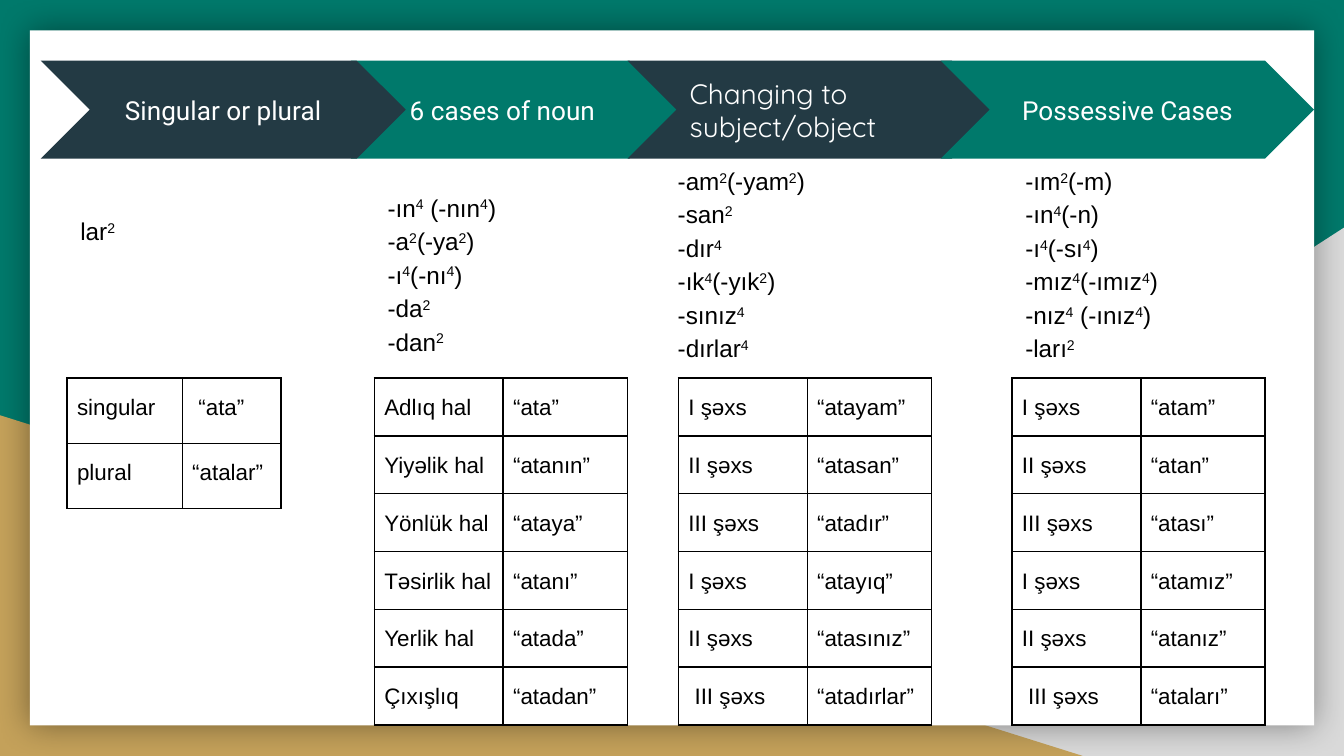
from itertools import groupby
from lxml import etree
from pptx import Presentation
from pptx.dml.color import RGBColor
from pptx.enum.shapes import MSO_SHAPE
from pptx.enum.text import MSO_ANCHOR, PP_ALIGN
from pptx.oxml.ns import qn
from pptx.util import Pt

TRIANGLE, RECTANGLE = MSO_SHAPE.RIGHT_TRIANGLE, MSO_SHAPE.RECTANGLE
PENTAGON, CHEVRON = MSO_SHAPE.PENTAGON, MSO_SHAPE.CHEVRON
LEFT, CENTER = PP_ALIGN.LEFT, PP_ALIGN.CENTER
TOP, MIDDLE = MSO_ANCHOR.TOP, MSO_ANCHOR.MIDDLE
COLORS = {"teal": "00796B", "navy": "233A44", "gold": "C4A15A",
          "gray": "D9D9D9", "white": "FFFFFF", "black": "000000"}

presentation = Presentation()
presentation.slide_width, presentation.slide_height = Pt(720), Pt(405)
slide = presentation.slides.add_slide(presentation.slide_layouts[6])
slide.background.fill.solid()
slide.background.fill.fore_color.rgb = RGBColor.from_string(COLORS["teal"])


def add_filled_shape(kind, color, left, top, width, height):
    shape = slide.shapes.add_shape(kind, Pt(left), Pt(top), Pt(width), Pt(height))
    shape.shadow.inherit = False
    shape.fill.solid()
    shape.fill.fore_color.rgb = RGBColor.from_string(COLORS[color])
    shape.line.fill.background()
    return shape


def write_text(paragraph, text, size, font="Arial", color="black", spacing=1.15, align=LEFT):
    paragraph.alignment = align
    paragraph.line_spacing = spacing
    for is_digit, characters in groupby(text, str.isdigit):
        run = paragraph.add_run()
        run.text = "".join(characters)
        for name, value in {"size": Pt(size), "name": font}.items():
            setattr(run.font, name, value)
        run.font.color.rgb = RGBColor.from_string(COLORS[color])
        if is_digit and font == "Arial":
            run.font._element.set("baseline", "30000")


gray_corner = add_filled_shape(TRIANGLE, "gray", 282, 122, 438, 283)
gray_corner._element.spPr.find(qn("a:xfrm")).set("flipH", "1")
add_filled_shape(TRIANGLE, "gold", 0, 222.5, 580, 182.5)
panel = add_filled_shape(RECTANGLE, "white", 16, 16.3, 688, 372.3)
effects = panel._element.spPr.find(qn("a:effectLst"))
shadow = etree.SubElement(effects, qn("a:outerShdw"), blurRad=str(Pt(18)), dist="0",
                          dir="0", algn="ctr", rotWithShape="0")
shadow_color = etree.SubElement(shadow, qn("a:srgbClr"), val=COLORS["black"])
etree.SubElement(shadow_color, qn("a:alpha"), val="40000")

banners = [
    (PENTAGON, "teal", 188, 175.5, "6 cases of noun", 14, "Roboto", CENTER),
    (CHEVRON, "navy", 21.8, 195.5, "Singular or plural", 14, "Roboto", CENTER),
    (CHEVRON, "navy", 336.2, 200, "Changing to subject/object", 15, "Quicksand", LEFT),
    (CHEVRON, "teal", 504, 200, "Possessive Cases", 14, "Roboto", CENTER),
]
for kind, color, left, width, title, size, font, align in banners:
    banner = add_filled_shape(kind, color, left, 32.5, width, 52.5)
    frame = banner.text_frame
    frame.word_wrap = True
    frame.vertical_anchor = MIDDLE
    for side in ("left", "top", "right", "bottom"):
        setattr(frame, f"margin_{side}", Pt(7.2))
    write_text(frame.paragraphs[0], title, size, font, "white", 1, align)

suffix_lists = [
    (36, 106.5, 124, ["lar2"]),
    (200.6, 93.8, 155, ["-ın4 (-nın4)", "-a2(-ya2)", "-ı4(-nı4)", "-da2", "-dan2"]),
    (356, 79.5, 160, ["-am2(-yam2)", "-san2", "-dır4", "-ık4(-yık2)", "-sınız4", "-dırlar4"]),
    (542.2, 79.5, 148, ["-ım2(-m)", "-ın4(-n)", "-ı4(-sı4)", "-mız4(-ımız4)",
                        "-nız4 (-ınız4)", "-ları2"]),
]
for left, top, width, suffixes in suffix_lists:
    box = slide.shapes.add_textbox(Pt(left), Pt(top), Pt(width), Pt(15 + 18 * len(suffixes)))
    frame = box.text_frame
    frame.word_wrap = True
    frame.vertical_anchor = TOP
    for side in ("left", "top", "right", "bottom"):
        setattr(frame, f"margin_{side}", Pt(7.2))
    for index, suffix in enumerate(suffixes):
        paragraph = frame.add_paragraph() if index else frame.paragraphs[0]
        write_text(paragraph, suffix, 13)

persons = ["I şəxs", "II şəxs", "III şəxs", "I şəxs", "II şəxs", " III şəxs"]
cases = ["Adlıq hal", "Yiyəlik hal", "Yönlük hal", "Təsirlik hal", "Yerlik hal", "Çıxışlıq"]
word_tables = [
    (36, (61.7, 53), 35, ["singular", "plural"], [" “ata”", "“atalar”"]),
    (200.6, (69, 66.5), 29.5, cases,
     ["“ata”", "“atanın”", "“ataya”", "“atanı”", "“atada”", "“atadan”"]),
    (363.5, (69, 66.5), 29.5, persons,
     ["“atayam”", "“atasan”", "“atadır”", "“atayıq”", "“atasınız”", "“atadırlar”"]),
    (542.2, (69, 66.5), 29.5, persons,
     ["“atam”", "“atan”", "“atası”", "“atamız”", "“atanız”", "“ataları”"]),
]
cell_format = {"margin_left": Pt(5.3), "margin_right": Pt(5.3),
               "margin_top": Pt(7.2), "margin_bottom": Pt(7.2), "vertical_anchor": TOP}
for left, widths, row_height, labels, words in word_tables:
    table = slide.shapes.add_table(len(labels), 2, Pt(left), Pt(202.5), Pt(sum(widths)),
                                   Pt(row_height * len(labels))).table
    table.first_row = table.horz_banding = False
    for column, width in zip(table.columns, widths):
        column.width = Pt(width)
    for row_index, row_texts in enumerate(zip(labels, words)):
        table.rows[row_index].height = Pt(row_height)
        for column_index, text in enumerate(row_texts):
            cell = table.cell(row_index, column_index)
            for name, value in cell_format.items():
                setattr(cell, name, value)
            write_text(cell.text_frame.paragraphs[0], text, 12)
            properties = cell._tc.get_or_add_tcPr()
            for edge in ("lnL", "lnR", "lnT", "lnB"):
                border = etree.SubElement(properties, qn(f"a:{edge}"), w=str(Pt(1)))
                border_fill = etree.SubElement(border, qn("a:solidFill"))
                etree.SubElement(border_fill, qn("a:srgbClr"), val=COLORS["black"])
            cell.fill.background()

presentation.save("out.pptx")
